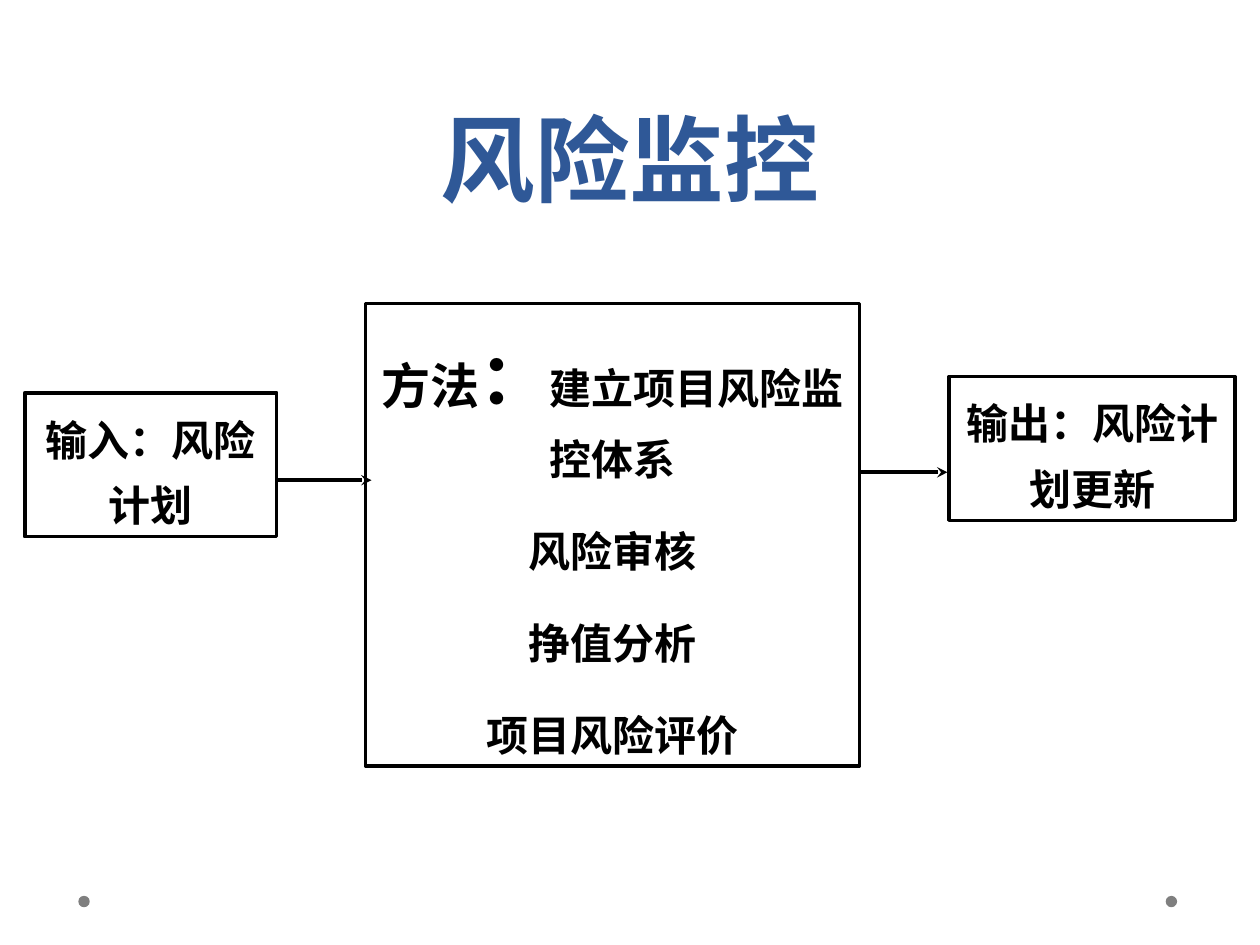
from lxml import etree
from pptx import Presentation
from pptx.dml.color import RGBColor
from pptx.enum.lang import MSO_LANGUAGE_ID as Lang
from pptx.enum.shapes import MSO_CONNECTOR as Connector, MSO_SHAPE as Shape
from pptx.enum.text import MSO_ANCHOR as Anchor, PP_ALIGN as Align
from pptx.oxml.ns import qn
from pptx.util import Cm, Pt

BLACK = RGBColor(0x00, 0x00, 0x00)
BLUE = RGBColor(0x2F, 0x58, 0x97)
GREY = RGBColor(0x7F, 0x7F, 0x7F)


def add_bold_run(paragraph, text, size, color=BLACK, font_name="Arial Narrow"):
    run = paragraph.add_run()
    run.text = text
    run.font.name = font_name
    run.font.size = Pt(size)
    run.font.bold = True
    run.font.color.rgb = color
    run.font.language_id = Lang.SIMPLIFIED_CHINESE


prs = Presentation()
prs.slide_width, prs.slide_height = Cm(25.4), Cm(19.05)
slide = prs.slides.add_slide(prs.slide_layouts[6])
shapes = slide.shapes

# Footer dots
for dot_left in (23.5, 1.58):
    dot = shapes.add_shape(Shape.OVAL, Cm(dot_left), Cm(18.06), Cm(0.23), Cm(0.23))
    dot.shadow.inherit = False
    dot.fill.solid()
    dot.fill.fore_color.rgb = GREY
    dot.line.fill.background()

# Title
title = shapes.add_textbox(Cm(1.27), Cm(0), Cm(22.86), Cm(4.45)).text_frame
title.word_wrap = True
title.vertical_anchor = Anchor.BOTTOM
heading = title.paragraphs[0]
heading.alignment = Align.CENTER
heading.line_spacing = Pt(58)
add_bold_run(heading, "风险监控", 54, BLUE, "Cabin")

# Process boxes: left, top, width, height, paragraphs of (text, size) runs
methods = [
    [("方法", 28), ("：", 40), ("建立项目风险监控体系", 24)],
    [("风险审核", 24)],
    [("挣值分析", 24)],
    [("项目风险评价", 24)],
]
steps = [
    (7.37, 6.12, 9.96, 9.32, methods),
    (0.5, 7.92, 5.08, 2.9, [[("输入：风险计划", 24)]]),
    (19.13, 7.59, 5.77, 2.9, [[("输出：风险计划更新", 24)]]),
]
for left, top, width, height, paragraphs in steps:
    step = shapes.add_shape(Shape.RECTANGLE, Cm(left), Cm(top), Cm(width), Cm(height))
    step.shadow.inherit = False
    step.fill.background()
    step.line.color.rgb = BLACK
    step.line.width = Pt(2)
    frame = step.text_frame
    frame.word_wrap = True
    frame.vertical_anchor = Anchor.TOP
    for index, runs in enumerate(paragraphs):
        paragraph = frame.add_paragraph() if index else frame.paragraphs[0]
        paragraph.alignment = Align.CENTER
        paragraph.line_spacing = 1.3
        if index:
            paragraph.space_before = Pt(15)
        for text, size in runs:
            add_bold_run(paragraph, text, size)

# Arrows between the boxes
for start, end, height in ((5.58, 7.49, 9.68), (17.3, 19.1, 9.52)):
    arrow = shapes.add_connector(Connector.STRAIGHT, Cm(start), Cm(height), Cm(end), Cm(height))
    arrow.line.color.rgb = BLACK
    arrow.line.width = Pt(2)
    etree.SubElement(arrow.line._get_or_add_ln(), qn("a:tailEnd"), type="stealth")
    etree.SubElement(arrow._element.spPr, qn("a:effectLst"))

prs.save("out.pptx")
